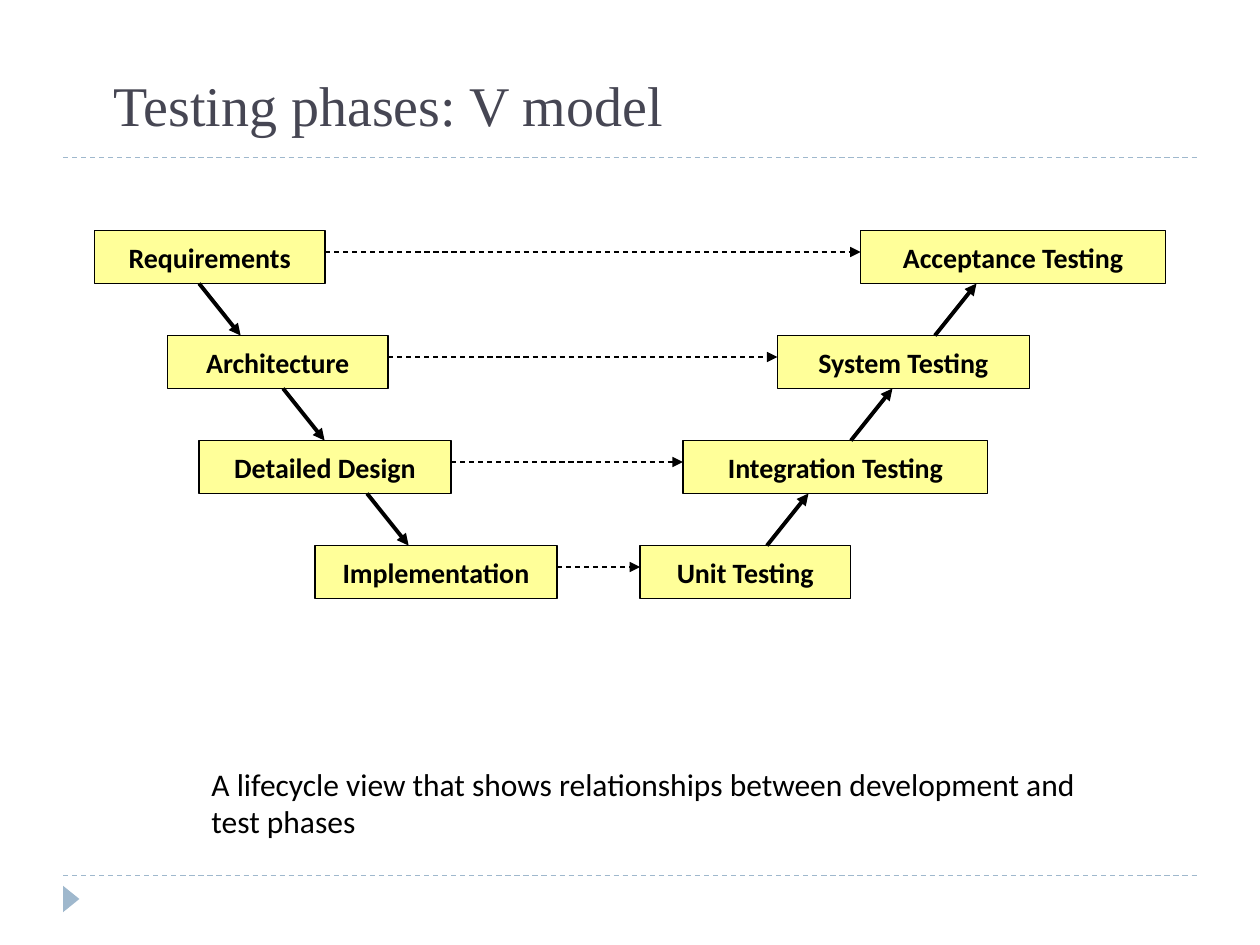
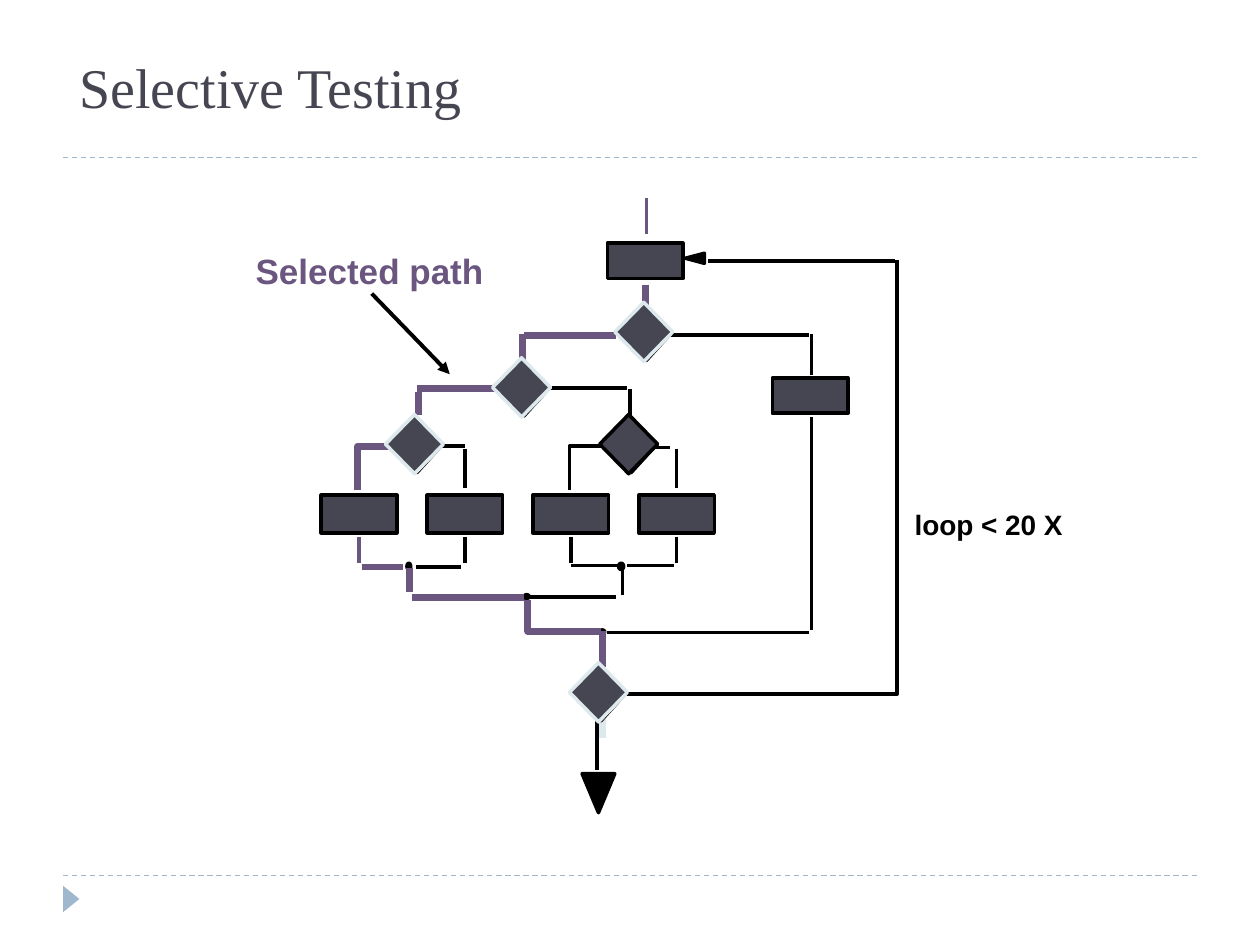
from dataclasses import dataclass

from lxml.etree import SubElement
from pptx import Presentation
from pptx.dml.color import RGBColor
from pptx.enum.dml import MSO_LINE_DASH_STYLE as Dash
from pptx.enum.shapes import MSO_CONNECTOR as Conn, MSO_SHAPE as Shape
from pptx.enum.text import MSO_ANCHOR as Anchor, PP_ALIGN as Align
from pptx.oxml.ns import qn
from pptx.util import Inches, Pt


@dataclass(frozen=True)
class Theme:
    black: str = "000000"
    slate: str = "464653"
    steel: str = "9FB8CD"
    pale: str = "DDE9EC"
    yellow: str = "FFFF99"
    purple: str = "6B5680"
    title_font: str = "Times New Roman"
    body_font: str = "Calibri"
    label_font: str = "Arial"
    title_size: int = 32
    label_size: int = 20
    text_size: int = 18
    box_size: int = 16
    hairline: float = 0.75
    line: float = 2
    arrow: float = 2.25
    path_line: float = 4


T = Theme()

# V model: (left, width) of the development box, then of the testing box
V_ROWS = [
    ("Requirements", 0, 1.83, "Acceptance Testing", 6.08, 2.42),
    ("Architecture", 0.58, 1.75, "System Testing", 5.42, 2),
    ("Detailed Design", 0.83, 2, "Integration Testing", 4.67, 2.42),
    ("Implementation", 1.75, 1.92, "Unit Testing", 4.33, 1.67),
]
ROW_PITCH = 5 / 6
BOX_HEIGHT = 0.42

# Flow chart, relative to its top left corner
TASK_PITCH = 0.84
OTHER_ROUTES = [
    [(3.12, 0.57), (4.6, 0.57)],
    [(2.82, 1.16), (3.92, 1.16)],
    [(3.94, 1.48), (3.94, 1.15)],
    [(0.99, 2.04), (1.19, 2.04)],
    [(1.85, 1.58), (2.48, 1.58)],
    [(2.5, 1.59), (2.5, 1.81)],
    [(2.27, 2.04), (2.02, 2.04), (2.02, 2.39)],
    [(2.7, 2.05), (2.82, 2.05)],
    [(0.8, 3), (1.16, 3)],
    [(2.03, 2.99), (2.45, 2.99)],
    [(2.48, 2.99), (2.85, 2.99)],
    [(2.44, 3), (2.44, 3.22)],
    [(2.39, 3.24), (1.71, 3.24)],
    [(3.94, 1.81), (3.94, 3.5)],
    [(2.32, 3.52), (3.92, 3.52)],
    [(2.46, 4.01), (4.62, 4.01), (4.62, 0.56)],
    [(2.24, 4.22), (2.24, 4.61)],
]
SELECTED_ROUTES = [
    [(2.62, 0.76), (2.62, 0.92)],
    [(2.39, 1.16), (1.66, 1.16)],
    [(1.65, 1.37), (1.65, 1.15)],
    [(1.46, 1.58), (0.81, 1.58)],
    [(0.82, 1.61), (0.82, 1.79)],
    [(0.59, 2.04), (0.34, 2.04), (0.34, 2.39)],
    [(0.37, 3), (0.7, 3)],
    [(0.75, 3.01), (0.75, 3.2)],
    [(0.77, 3.24), (1.66, 3.24)],
    [(1.69, 3.26), (1.69, 3.51), (2.27, 3.51)],
    [(2.28, 3.79), (2.28, 3.51)],
]
ARROW_TIPS = [
    [(2.94, 0.55), (3.09, 0.51), (3.09, 0.59)],
    [(2.25, 4.95), (2.12, 4.64), (2.38, 4.64)],
]
JOINS = [(2.41, 2.97, 0.04, 0.05), (0.73, 2.97, 0.03, 0.05),
         (1.66, 3.22, 0.04, 0.03), (2.26, 3.5, 0.04, 0.03)]
DECISIONS = [(2.38, 0.9, T.pale), (1.41, 1.34, T.pale), (0.56, 1.79, T.pale),
             (2.26, 1.79, T.black), (2.02, 3.76, T.pale)]


def rgb(color):
    return RGBColor.from_string(color)


def style_text(tf, text, font, size, color, bold=False, align=Align.LEFT):
    tf.text = text
    p = tf.paragraphs[0]
    p.alignment = align
    f = p.runs[0].font
    f.name, f.size, f.bold = font, Pt(size), bold
    f.color.rgb = rgb(color)


def paint(sp, fill=None, line=None, width=T.line):
    sp.shadow.inherit = False
    if fill:
        sp.fill.solid()
        sp.fill.fore_color.rgb = rgb(fill)
    else:
        sp.fill.background()
    if line:
        sp.line.color.rgb = rgb(line)
        sp.line.width = Pt(width)
    else:
        sp.line.fill.background()


def add_block(slide, kind, x, y, w, h, fill, line=None, width=T.line):
    sp = slide.shapes.add_shape(kind, Inches(x), Inches(y), Inches(w), Inches(h))
    paint(sp, fill, line, width)
    return sp


def add_line(slide, start, end, color=T.black, width=T.line, dashed=False, arrow=False):
    ends = [Inches(v) for v in (*start, *end)]
    cxn = slide.shapes.add_connector(Conn.STRAIGHT, *ends)
    cxn.line.color.rgb = rgb(color)
    cxn.line.width = Pt(width)
    if dashed:
        cxn.line.dash_style = Dash.DASH
    sp_pr = cxn.element.spPr
    if arrow:
        SubElement(sp_pr.find(qn("a:ln")), qn("a:tailEnd"), type="triangle")
    SubElement(sp_pr, qn("a:effectLst"))
    return cxn


def add_outline(slide, points, fill=None, line=T.black, width=T.line, close=False):
    start, *rest = [(Inches(x), Inches(y)) for x, y in points]
    builder = slide.shapes.build_freeform(*start)
    builder.add_line_segments(rest, close=close)
    paint(builder.convert_to_shape(), fill, line, width)


def add_route(slide, points, color=T.black, width=T.line):
    """Draw a straight connector, or a freeform where the route has a corner."""
    if len(points) == 2:
        add_line(slide, *points, color, width)
    else:
        add_outline(slide, points, line=color, width=width)


def add_label(slide, box, text, font, size, color=T.black, bold=False, wrap=False):
    tf = slide.shapes.add_textbox(*[Inches(v) for v in box]).text_frame
    tf.word_wrap = wrap
    style_text(tf, text, font, size, color, bold)


def add_frame(slide):
    """Put the rules and the corner marker on the layout that the slides share."""
    parts = [add_line(slide, (0.5, y), (9.5, y), T.steel, T.hairline, dashed=True)
             for y in (1.25, 6.95)]
    marker = add_block(slide, Shape.ISOSCELES_TRIANGLE, 0.46, 7.07, 0.21, 0.13, T.steel)
    marker.rotation = 90
    for number, sp in enumerate([*parts, marker], start=101):
        sp.element.xpath(".//p:cNvPr")[0].set("id", str(number))
        slide.slide_layout.shapes.element.append(sp.element)


def add_title(slide, text, box, anchor):
    sp = slide.shapes.title
    sp.left, sp.top, sp.width, sp.height = [Inches(v) for v in box]
    sp.text_frame.vertical_anchor = anchor
    style_text(sp.text_frame, text, T.title_font, T.title_size, T.slate)


def add_phase(slide, text, x, y, w):
    sp = add_block(slide, Shape.RECTANGLE, x, y, w, BOX_HEIGHT, T.yellow, T.black, T.hairline)
    tf = sp.text_frame
    tf.word_wrap = False
    tf.vertical_anchor = Anchor.MIDDLE
    style_text(tf, text, T.body_font, T.box_size, T.black, True, Align.CENTER)


def draw_v_model(slide, left, top):
    for i, (phase, x1, w1, test, x2, w2) in enumerate(V_ROWS):
        y = top + i * ROW_PITCH
        add_phase(slide, phase, left + x1, y, w1)
        add_phase(slide, test, left + x2, y, w2)
        add_line(slide, (left + x1 + w1, y + 0.17), (left + x2, y + 0.17),
                 width=T.hairline, dashed=True, arrow=True)
    for i in range(len(V_ROWS) - 1):
        bottom = top + i * ROW_PITCH + BOX_HEIGHT
        next_top = top + (i + 1) * ROW_PITCH
        down, up = left + 0.83 + i * 2 / 3, left + 6.67 - i * 2 / 3
        add_line(slide, (down, bottom), (down + 0.33, next_top), width=T.arrow, arrow=True)
        add_line(slide, (up, next_top), (up + 0.33, bottom), width=T.arrow, arrow=True)


def draw_flow_chart(slide, left, top):
    def place(points):
        return [(left + x, top + y) for x, y in points]

    def add_task(x, y, h):
        add_block(slide, Shape.RECTANGLE, left + x, top + y, 0.6, h, T.slate, T.black)

    for route in OTHER_ROUTES:
        add_route(slide, place(route))
    for x, y, w, h in JOINS:
        add_block(slide, Shape.OVAL, left + x, top + y, w, h, T.black, T.black)
    for route in SELECTED_ROUTES:
        add_route(slide, place(route), T.purple, T.path_line)
    add_route(slide, place([(2.63, 0.07), (2.63, 0.36)]), T.purple)
    add_route(slide, place([(2.28, 4.36), (2.28, 4.21)]), T.pale, T.path_line)
    for tip in ARROW_TIPS:
        add_outline(slide, place(tip), fill=T.black, close=True)

    for x, y in ((2.32, 0.43), (3.63, 1.5)):
        add_task(x, y, 0.28)
    for i in range(4):
        x = 0.05 + i * TASK_PITCH
        middle = x + 0.3
        add_task(x, 2.43, 0.3)
        add_route(slide, place([(middle, 2.76), (middle, 2.97)]),
                  T.black if i else T.purple)
        if i % 2:
            add_route(slide, place([(middle, 2.06), (middle, 2.37)]))

    for x, y, edge in DECISIONS:
        under = [(x + 0.06, y + 0.25), (x + 0.25, y + 0.04),
                 (x + 0.44, y + 0.25), (x + 0.25, y + 0.46)]
        add_outline(slide, place(under), close=True)
        add_block(slide, Shape.DIAMOND, left + x, top + y, 0.46, 0.47, T.slate, edge)


def build_v_slide(slide):
    add_title(slide, "Testing phases: V model", (0.8, 0.21, 8.45, 0.93), Anchor.BOTTOM)
    draw_v_model(slide, 0.75, 1.83)
    add_label(slide, (1.58, 6.02, 7.41, 0.7),
              "A lifecycle view that shows relationships between development and test phases",
              T.body_font, T.text_size, wrap=True)


def build_selective_slide(slide):
    add_title(slide, "Selective Testing", (0.53, 0.28, 6.34, 0.81), Anchor.MIDDLE)
    draw_flow_chart(slide, 2.5, 1.5)
    add_label(slide, (7.16, 3.98, 1.38, 0.36), "loop < 20 X",
              T.label_font, T.box_size, bold=True)
    add_label(slide, (1.93, 1.93, 2.01, 0.43), "Selected path",
              T.label_font, T.label_size, T.purple, bold=True)
    add_line(slide, (2.95, 2.33), (3.57, 2.97), width=T.arrow, arrow=True)


def main():
    prs = Presentation()
    prs.slide_width, prs.slide_height = Inches(10), Inches(7.5)
    title_only = prs.slide_layouts[5]
    v_slide, selective_slide = [prs.slides.add_slide(title_only) for _ in range(2)]
    add_frame(v_slide)
    build_v_slide(v_slide)
    build_selective_slide(selective_slide)
    prs.save("out.pptx")


if __name__ == "__main__":
    main()
